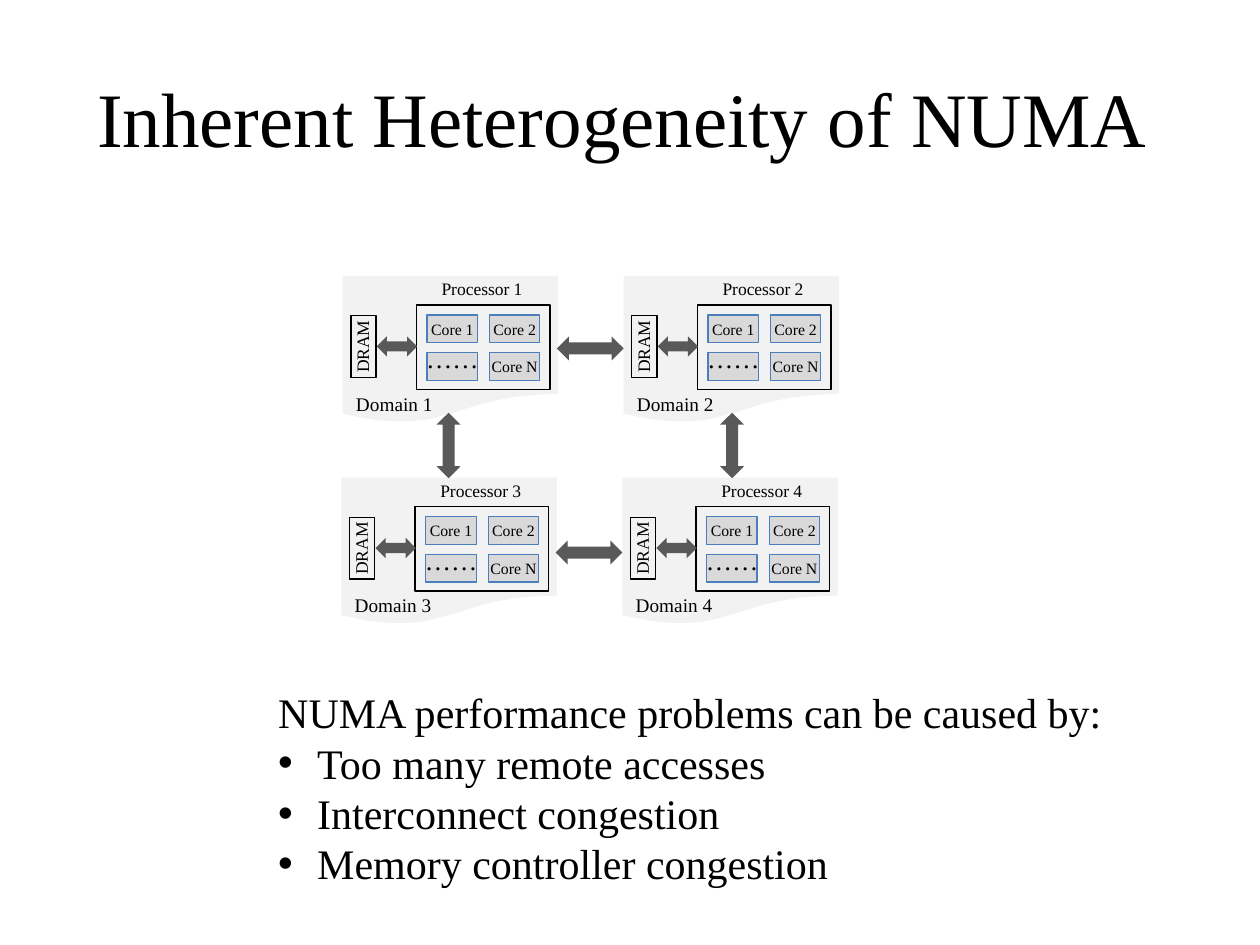
import pptx
import pptx.util
import pptx.dml.color
import pptx.enum.shapes
import pptx.enum.text
import pptx.oxml
import pptx.oxml.ns
from pptx.util import Inches

COLORS = {"black": "000000", "domain": "F2F2F2", "core": "D9D9D9",
          "core_line": "4B7EBC", "arrow": "595959"}
FONT = "Times New Roman"
SHAPES = pptx.enum.shapes.MSO_SHAPE
LEFT = pptx.enum.text.PP_ALIGN.LEFT
CENTER = pptx.enum.text.PP_ALIGN.CENTER
MIDDLE = pptx.enum.text.MSO_ANCHOR.MIDDLE
TOP = pptx.enum.text.MSO_ANCHOR.TOP

presentation = pptx.Presentation()
presentation.slide_width = Inches(10)
presentation.slide_height = Inches(7.5)
slide = presentation.slides.add_slide(presentation.slide_layouts[6])


def add_block(kind, left, top, width, height, fill=None, line=None):
    """Add a preset shape with an optional fill and outline."""
    shape = slide.shapes.add_shape(
        kind, Inches(left), Inches(top), Inches(width), Inches(height))
    shape.shadow.inherit = False
    if fill:
        shape.fill.solid()
        shape.fill.fore_color.rgb = pptx.dml.color.RGBColor.from_string(COLORS[fill])
    else:
        shape.fill.background()
    if line:
        shape.line.width = pptx.util.Pt(0.75)
        shape.line.color.rgb = pptx.dml.color.RGBColor.from_string(COLORS[line])
    else:
        shape.line.fill.background()
    return shape


def write_text(shape, lines, size, align=LEFT, anchor=TOP, wrap=False, inset=True):
    """Write one paragraph per line into a shape or text box."""
    frame = shape.text_frame
    frame.word_wrap = wrap
    frame.vertical_anchor = anchor
    if not inset:
        frame.margin_left = frame.margin_right = 0
        frame.margin_top = frame.margin_bottom = 0
    frame.text = "\n".join(lines)
    for paragraph in frame.paragraphs:
        paragraph.alignment = align
        paragraph.font.name = FONT
        paragraph.font.size = pptx.util.Pt(size)
        paragraph.font.color.rgb = pptx.dml.color.RGBColor.from_string(COLORS["black"])


# Four NUMA domains, two by two
domains = [(1, 2.72, 2.19), (3, 2.71, 3.79), (2, 4.95, 2.19), (4, 4.94, 3.79)]
core_names = [["Core 1", "Core 2"], [None, "Core N"]]

for number, left, top in domains:
    add_block(SHAPES.FLOWCHART_DOCUMENT, left, top, 1.71, 1.17, "domain")
    add_block(SHAPES.RECTANGLE, left + 0.585, top + 0.23, 1.06, 0.67, line="black")
    for row, names in enumerate(core_names):
        for column, name in enumerate(names):
            core = add_block(SHAPES.RECTANGLE, left + 0.67 + 0.495 * column,
                             top + 0.31 + 0.3 * row, 0.4, 0.22, "core", "core_line")
            if name:
                write_text(core, [name], 9, CENTER, MIDDLE, True, False)
    add_block(SHAPES.LEFT_RIGHT_ARROW, left + 0.27, top + 0.48, 0.32, 0.16, "arrow")
    add_block(SHAPES.RECTANGLE, left + 0.065, top + 0.315, 0.2, 0.49, line="black")

    labels = [
        (f"Processor {number}", 0.61, -0.03, 0.99, 0.27, 10, CENTER, True, 0),
        ("……", 0.66, 0.53, 0.42, 0.25, 15, CENTER, False, 0),
        ("DRAM", -0.055, 0.475, 0.42, 0.17, 10, LEFT, False, 270),
        (f"Domain {number}", 0.105, 0.92, 0.61, 0.19, 11, LEFT, False, 0),
    ]
    for text, x, y, width, height, size, align, roomy, rotation in labels:
        label = slide.shapes.add_textbox(
            Inches(left + x), Inches(top + y), Inches(width), Inches(height))
        label.rotation = rotation
        write_text(label, [text], size, align, wrap=roomy, inset=roomy)

# Links between the domains
links = [(4.42, 2.67, 0.53, 0), (4.41, 4.29, 0.53, 0),
         (3.3, 3.44, 0.52, 90), (5.55, 3.44, 0.52, 90)]
for left, top, length, rotation in links:
    link = add_block(SHAPES.LEFT_RIGHT_ARROW, left, top, length, 0.19, "arrow")
    link.rotation = rotation

title = slide.shapes.add_textbox(Inches(0.5), Inches(0.3), Inches(9), Inches(1.25))
write_text(title, ["Inherent Heterogeneity of NUMA "], 44, CENTER, MIDDLE, True)

problems = slide.shapes.add_textbox(
    Inches(2.11), Inches(5.4), Inches(6.84), Inches(1.72))
write_text(problems, ["NUMA performance problems can be caused by:",
                      "Too many remote accesses",
                      "Interconnect congestion",
                      "Memory controller congestion"], 24)
for paragraph in problems.text_frame.paragraphs[1:]:
    properties = paragraph._p.get_or_add_pPr()
    properties.set("marL", str(Inches(0.31)))
    properties.set("indent", str(Inches(-0.31)))
    namespace = pptx.oxml.ns.nsdecls("a")
    for markup in (f'<a:buFont {namespace} typeface="Arial"/>',
                   f'<a:buChar {namespace} char="•"/>'):
        properties.insert_element_before(
            pptx.oxml.parse_xml(markup), "a:tabLst", "a:defRPr", "a:extLst")

presentation.save("out.pptx")
